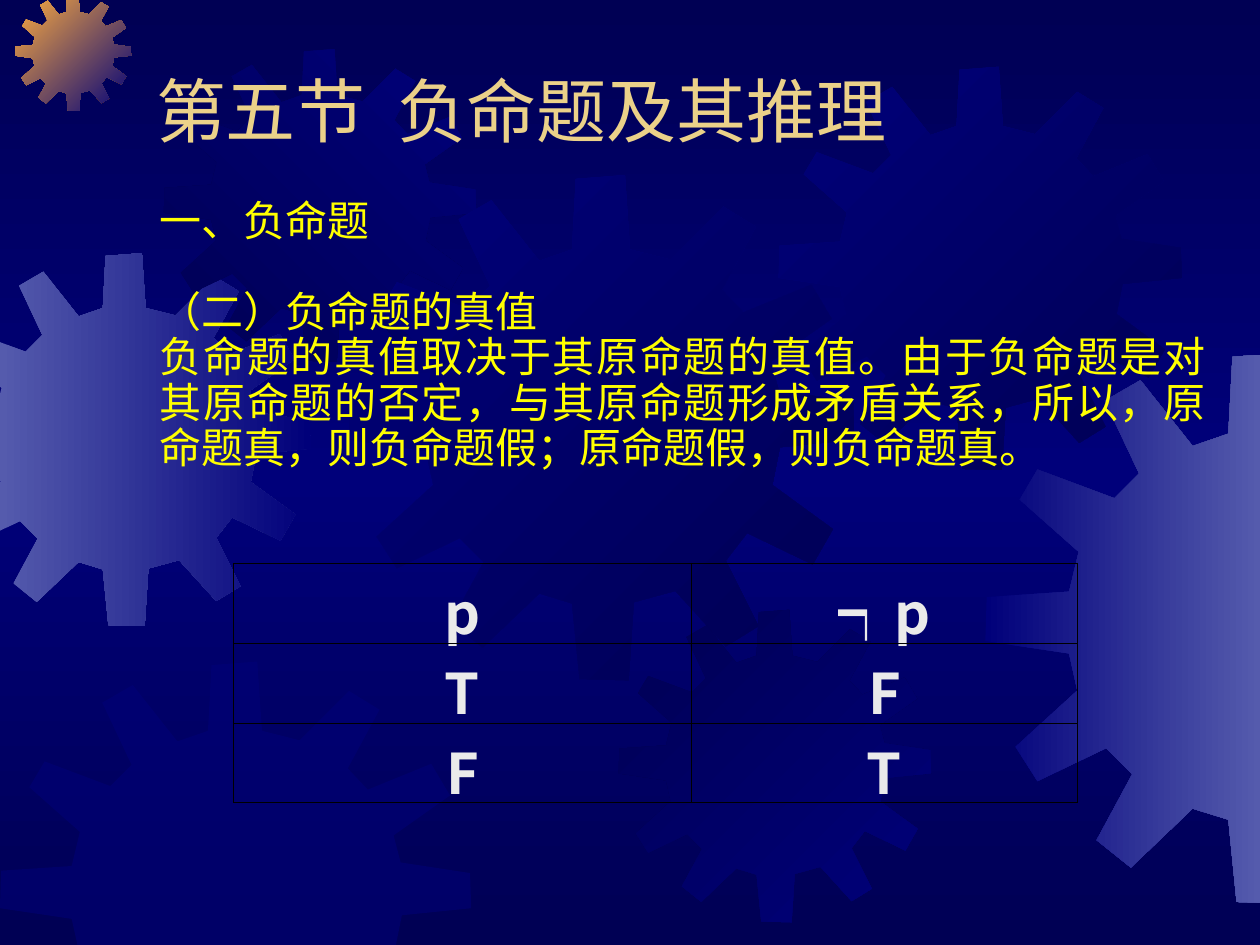
from copy import deepcopy

from lxml import etree
from pptx import Presentation
from pptx.dml.color import RGBColor
from pptx.enum.text import MSO_ANCHOR, PP_ALIGN
from pptx.oxml.ns import qn
from pptx.util import Inches, Pt

CENTER = PP_ALIGN.CENTER
JUSTIFY = PP_ALIGN.JUSTIFY
LEFT = PP_ALIGN.LEFT
BOTTOM = MSO_ANCHOR.BOTTOM
TOP = MSO_ANCHOR.TOP

WIDTH = Inches(10)
HEIGHT = Inches(7.5)
FONT = "Noto Sans CJK SC"
COLORS = {
    "night": "000054",
    "navy": "00007A",
    "haze": "555BAD",
    "orange": "FCAB40",
    "title": "EBD189",
    "body": "FFFF00",
    "cell": "EAEAEA",
    "border": "000000",
}

GEAR_SPAN = 401
GEAR_OUTLINE = [
    (255, 67), (223, 59), (219, 0), (180, 3), (177, 59), (151, 68),
    (113, 20), (87, 35), (112, 88), (94, 106), (38, 85), (25, 107),
    (68, 145), (61, 174), (1, 178), (0, 210), (61, 219), (67, 246),
    (22, 287), (38, 312), (88, 288), (107, 307), (81, 355), (106, 375),
    (151, 332), (177, 340), (183, 400), (222, 401), (226, 339), (259, 330),
    (299, 374), (325, 358), (299, 306), (316, 284), (368, 309), (384, 281),
    (336, 246), (342, 216), (401, 210), (400, 180), (341, 171), (335, 148),
    (383, 114), (367, 87), (313, 109), (296, 91), (323, 41), (297, 25),
]
GEARS = [
    (-4.9, 26.8, 29.6, ["haze", "navy"], 0),
    (1.2, -0.53, 9.2, ["orange", "navy"], 45),
    (13, 5.2, 24.8, ["night", "navy"], 315),
    (27.7, 18.53, 40.1, ["navy", "night"], 45),
    (0, 70, 37.4, ["navy"], 0),
    (49.1, 64.53, 24.8, ["night", "navy"], 45),
    (61.8, 7.07, 32, ["navy", "night"], 45),
    (78.2, 37.33, 43.7, ["navy", "haze"], 0),
]

TITLE = "第五节  负命题及其推理"
BODY = [
    "一、负命题",
    "（二）负命题的真值",
    "负命题的真值取决于其原命题的真值。由于负命题是对其原命题的否定，与其原命题形成矛盾关系，所以，原命题真，则负命题假；原命题假，则负命题真。",
]
TRUTH_TABLE = [["p", "┑p"], ["T", "F"], ["F", "T"]]


def across(percent):
    return round(WIDTH * percent / 100)


def down(percent):
    return round(HEIGHT * percent / 100)


def color(name):
    return RGBColor.from_string(COLORS[name])


def fill_gradient(fill, names, angle):
    fill.gradient()
    fill.gradient_angle = (360 - angle) % 360
    first = fill.gradient_stops[0]._gs
    for _ in names[2:]:
        first.addnext(deepcopy(first))
    for index, (stop, name) in enumerate(zip(fill.gradient_stops, names)):
        stop.color.rgb = color(name)
        stop.position = index / (len(names) - 1)


def fill_half_transparent(shape, name):
    shape.fill.solid()
    shape.fill.fore_color.rgb = color(name)
    shade = shape._element.spPr.find(".//" + qn("a:srgbClr"))
    etree.SubElement(shade, qn("a:alpha"), val="50000")


def clip_to_slide(points):
    for axis, limit, sign in ((0, 0, 1), (0, WIDTH, -1), (1, 0, 1), (1, HEIGHT, -1)):
        kept = []
        for start, end in zip(points[-1:] + points[:-1], points):
            start_gap = sign * (start[axis] - limit)
            end_gap = sign * (end[axis] - limit)
            if start_gap * end_gap < 0:
                share = start_gap / (start_gap - end_gap)
                kept.append(tuple(a + share * (b - a) for a, b in zip(start, end)))
            if end_gap >= 0:
                kept.append(end)
        points = kept
    return [(round(x), round(y)) for x, y in points]


def add_gear(slide, left, top, size, names, angle):
    unit = across(size) / GEAR_SPAN
    outline = clip_to_slide(
        [(across(left) + x * unit, down(top) + y * unit) for x, y in GEAR_OUTLINE]
    )
    builder = slide.shapes.build_freeform(*outline[0])
    builder.add_line_segments(outline[1:], close=True)
    gear = builder.convert_to_shape()
    gear.shadow.inherit = False
    gear.line.fill.background()
    if len(names) == 1:
        fill_half_transparent(gear, names[0])
    else:
        fill_gradient(gear.fill, names, angle)


def format_runs(paragraph, size, name, bold=False):
    for run in paragraph.runs:
        run.font.size = Pt(size)
        run.font.name = FONT
        run.font.bold = bold
        run.font.color.rgb = color(name)
        etree.SubElement(run.font._element, qn("a:ea"), typeface=FONT)


def add_text(slide, box, lines, size, name, align, anchor):
    frame = slide.shapes.add_textbox(*box).text_frame
    frame.word_wrap = True
    frame.vertical_anchor = anchor
    frame.text = "\n".join(lines)
    for paragraph in frame.paragraphs:
        paragraph.alignment = align
        format_runs(paragraph, size, name)
    return frame


def add_borders(cell):
    properties = cell._tc.get_or_add_tcPr()
    for side in ("lnL", "lnR", "lnT", "lnB"):
        edge = etree.SubElement(properties, qn("a:" + side), w=str(Pt(0.45)))
        paint = etree.SubElement(edge, qn("a:solidFill"))
        etree.SubElement(paint, qn("a:srgbClr"), val=COLORS["border"])


def add_truth_table(slide):
    widths = [across(36.4), across(30.6)]
    row_height = down(7.11)
    table = slide.shapes.add_table(
        len(TRUTH_TABLE), len(widths), across(18.5), down(59.6),
        sum(widths), row_height * len(TRUTH_TABLE),
    ).table
    table.first_row = table.horz_banding = False
    for column, width in zip(table.columns, widths):
        column.width = width
    for row, values in enumerate(TRUTH_TABLE):
        for column, value in enumerate(values):
            cell = table.cell(row, column)
            add_borders(cell)
            cell.fill.background()
            cell.margin_left = cell.margin_right = Inches(0.07)
            cell.text_frame.text = value
            paragraph = cell.text_frame.paragraphs[0]
            paragraph.alignment = CENTER
            format_runs(paragraph, 32, "cell", bold=True)


def main():
    deck = Presentation()
    deck.slide_width, deck.slide_height = WIDTH, HEIGHT
    slide = deck.slides.add_slide(deck.slide_layouts[6])
    fill_gradient(slide.background.fill, ["night", "navy", "night"], 90)
    for gear in GEARS:
        add_gear(slide, *gear)
    title_box = across(11.4), down(7.73), across(85), down(8.93)
    add_text(slide, title_box, [TITLE], 40, "title", LEFT, BOTTOM)
    body_box = across(11.7), down(20.53), across(85), down(35.73)
    body = add_text(slide, body_box, BODY, 24, "body", JUSTIFY, TOP)
    for paragraph in body.paragraphs:
        paragraph.line_spacing = 0.9
    body.paragraphs[1].space_before = Pt(26)
    add_truth_table(slide)
    deck.save("out.pptx")


if __name__ == "__main__":
    main()
